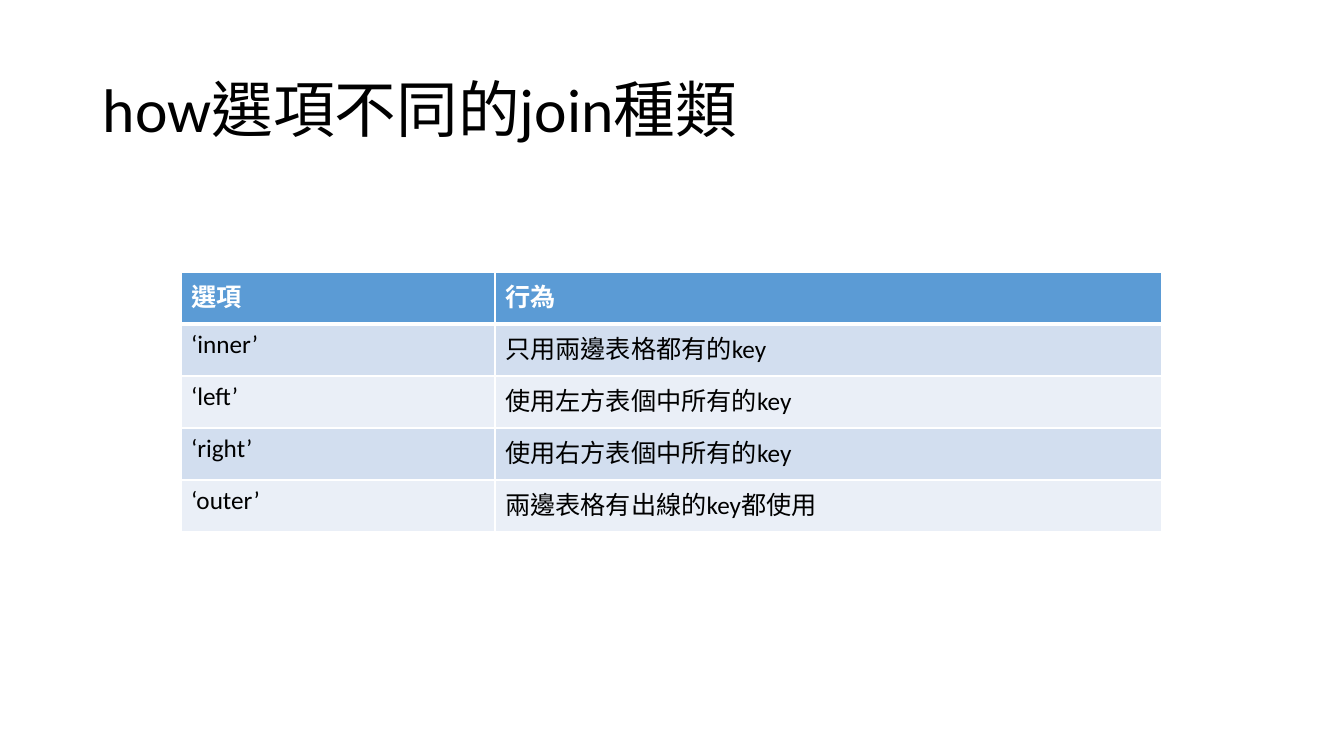
from lxml.etree import SubElement
from pptx import Presentation
from pptx.dml.color import RGBColor
from pptx.enum.lang import MSO_LANGUAGE_ID as LANG
from pptx.enum.text import MSO_ANCHOR as ANCHOR
from pptx.oxml.ns import qn
from pptx.util import Pt

EMU_PER_PX = 914400 / 100.8
FONT = "Calibri"
BLACK = RGBColor(0x00, 0x00, 0x00)
WHITE = RGBColor(0xFF, 0xFF, 0xFF)
HEADER_BLUE = RGBColor(0x5B, 0x9B, 0xD5)
BANDS = (RGBColor(0xD2, 0xDE, 0xEF), RGBColor(0xEA, 0xEF, 0xF7))

COL_WIDTHS = (314, 667)
ROW_HEIGHT = 52
JOIN_OPTIONS = [
    ("選項", "行為"),
    ("‘inner’", "只用兩邊表格都有的key"),
    ("‘left’", "使用左方表個中所有的key"),
    ("‘right’", "使用右方表個中所有的key"),
    ("‘outer’", "兩邊表格有出線的key都使用"),
]


def px(n):
    return round(n * EMU_PER_PX)


def write(tf, text, size=18, color=BLACK, bold=False, spacing=None):
    p = tf.paragraphs[0]
    p.line_spacing = spacing
    r = p.add_run()
    r.text = text
    font = r.font
    font.name, font.size, font.bold = FONT, Pt(size), bold
    font.color.rgb = color
    font.language_id = LANG.TRADITIONAL_CHINESE


def add_title(s, text, x, y, w, h):
    tf = s.shapes.add_textbox(px(x), px(y), px(w), px(h)).text_frame
    tf.word_wrap = True
    tf.vertical_anchor = ANCHOR.MIDDLE
    write(tf, text, size=44, spacing=0.9)


def set_borders(cell, **widths):
    tc_pr = cell._tc.get_or_add_tcPr()
    for side in "LRTB":
        ln = SubElement(tc_pr, qn(f"a:ln{side}"), w=str(Pt(widths.get(side, 1))))
        fill = SubElement(ln, qn("a:solidFill"))
        SubElement(fill, qn("a:srgbClr"), val=str(WHITE))


def style_cell(cell, text, row):
    header = row == 0
    # The header is set off from the body by a thicker line
    set_borders(cell, B=3 if header else 1, T=3 if row == 1 else 1)
    cell.fill.solid()
    cell.fill.fore_color.rgb = HEADER_BLUE if header else BANDS[(row - 1) % 2]
    write(cell.text_frame, text, color=WHITE if header else BLACK, bold=header)


def add_options_table(s, rows, x, y):
    table = s.shapes.add_table(
        len(rows), len(COL_WIDTHS), px(x), px(y),
        px(sum(COL_WIDTHS)), px(ROW_HEIGHT * len(rows))).table
    for column, width in zip(table.columns, COL_WIDTHS):
        column.width = px(width)
    for i, texts in enumerate(rows):
        for j, text in enumerate(texts):
            style_cell(table.cell(i, j), text, i)


def main():
    prs = Presentation()
    prs.slide_width, prs.slide_height = px(1344), px(756)
    s = prs.slides.add_slide(prs.slide_layouts[6])

    # Heading
    add_title(s, "how選項不同的join種類", 93, 40, 1159, 146)

    # Join options and what they do
    add_options_table(s, JOIN_OPTIONS, 181, 272)

    prs.save("out.pptx")


if __name__ == "__main__":
    main()
